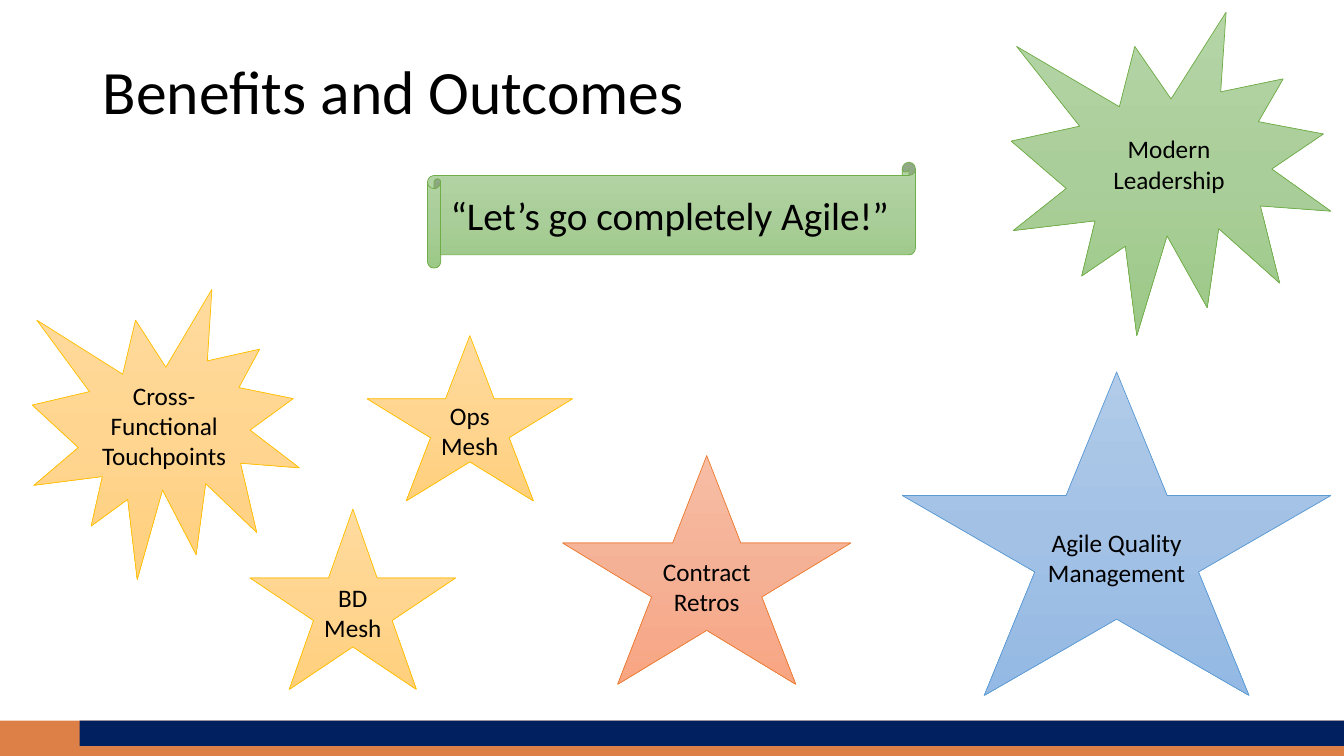
"""Build the Benefits and Outcomes slide."""
from copy import deepcopy

from pptx import Presentation
from pptx.dml.color import RGBColor
from pptx.enum.shapes import MSO_SHAPE as Preset
from pptx.enum.text import MSO_ANCHOR as Anchor, PP_ALIGN as Align
from pptx.util import Inches, Pt

BLUE = ("5B9BD5", "B1CBE9", "A3C1E5", "93B9E4")
GOLD = ("FFC000", "FFDB9E", "FFD590", "FFD07C")
GREEN = ("70AD47", "B5D5A7", "AACE9A", "9CC987")
ORANGE = ("ED7D31", "F7BDA5", "F5B196", "F8A582")


def color(code):
    return RGBColor.from_string(code)


class OutcomeSlide:
    def __init__(self, deck, font="Calibri", ink="000000"):
        self.slide = deck.slides.add_slide(deck.slide_layouts[5])
        self.font, self.ink = font, ink

    def label(self, shape, text, size, align):
        frame = shape.text_frame
        frame.text = text
        frame.word_wrap = True
        frame.vertical_anchor = Anchor.MIDDLE
        paragraph = frame.paragraphs[0]
        paragraph.alignment = align
        paragraph.font.name = self.font
        paragraph.font.size = Pt(size)
        paragraph.font.color.rgb = color(self.ink)
        return paragraph

    def title(self, text, box):
        heading = self.slide.shapes.title
        heading.left, heading.top, heading.width, heading.height = map(Inches, box)
        self.label(heading, text, 44, Align.LEFT).line_spacing = 0.9

    def shape(self, preset, box):
        shape = self.slide.shapes.add_shape(preset, *map(Inches, box))
        shape.shadow.inherit = False
        return shape

    def bar(self, fill, box):
        bar = self.shape(Preset.RECTANGLE, box)
        bar.fill.solid()
        bar.fill.fore_color.rgb = color(fill)
        bar.line.fill.background()

    def outcome(self, preset, text, palette, box, size=18, align=Align.CENTER):
        outcome = self.shape(preset, box)
        edge, *shades = palette
        outcome.line.color.rgb = color(edge)
        outcome.line.width = Pt(0.5)
        fill = outcome.fill
        fill.gradient()
        fill.gradient_angle = 270
        stops = outcome.element.spPr.gradFill.gsLst
        stops.insert(1, deepcopy(stops[0]))
        for stop, shade, position in zip(fill.gradient_stops, shades, (0, 0.5, 1)):
            stop.color.rgb = color(shade)
            stop.position = position
        self.label(outcome, text, size, align)


def main():
    deck = Presentation()
    deck.slide_width, deck.slide_height = Inches(13.33), Inches(7.5)
    page = OutcomeSlide(deck)
    page.bar("DD8047", (0, 7.15, 13.33, 0.35))
    page.bar("002060", (0.79, 7.15, 12.54, 0.25))
    page.title("Benefits and Outcomes", (0.92, 0.4, 11.5, 1.07))

    star, burst = Preset.STAR_5_POINT, Preset.EXPLOSION1
    outcomes = [
        (star, "Agile Quality Management", BLUE, (8.95, 3.69, 4.25, 3.21)),
        (star, "Ops Mesh", GOLD, (3.64, 3.33, 2.04, 1.64)),
        (star, "BD Mesh", GOLD, (2.48, 5.05, 2.04, 1.79)),
        (burst, "Cross-Functional Touchpoints", GOLD, (0.32, 2.87, 2.65, 2.88)),
        (burst, "Modern Leadership", GREEN, (10.03, 0.12, 3.17, 3.21)),
        (star, "Contract Retros", ORANGE, (5.58, 4.52, 2.86, 2.27)),
    ]
    for outcome in outcomes:
        page.outcome(*outcome)
    page.outcome(Preset.HORIZONTAL_SCROLL, "“Let’s go completely Agile!”", GREEN,
                 (4.24, 1.61, 4.84, 1.05), size=28, align=Align.LEFT)
    deck.save("out.pptx")


if __name__ == "__main__":
    main()
